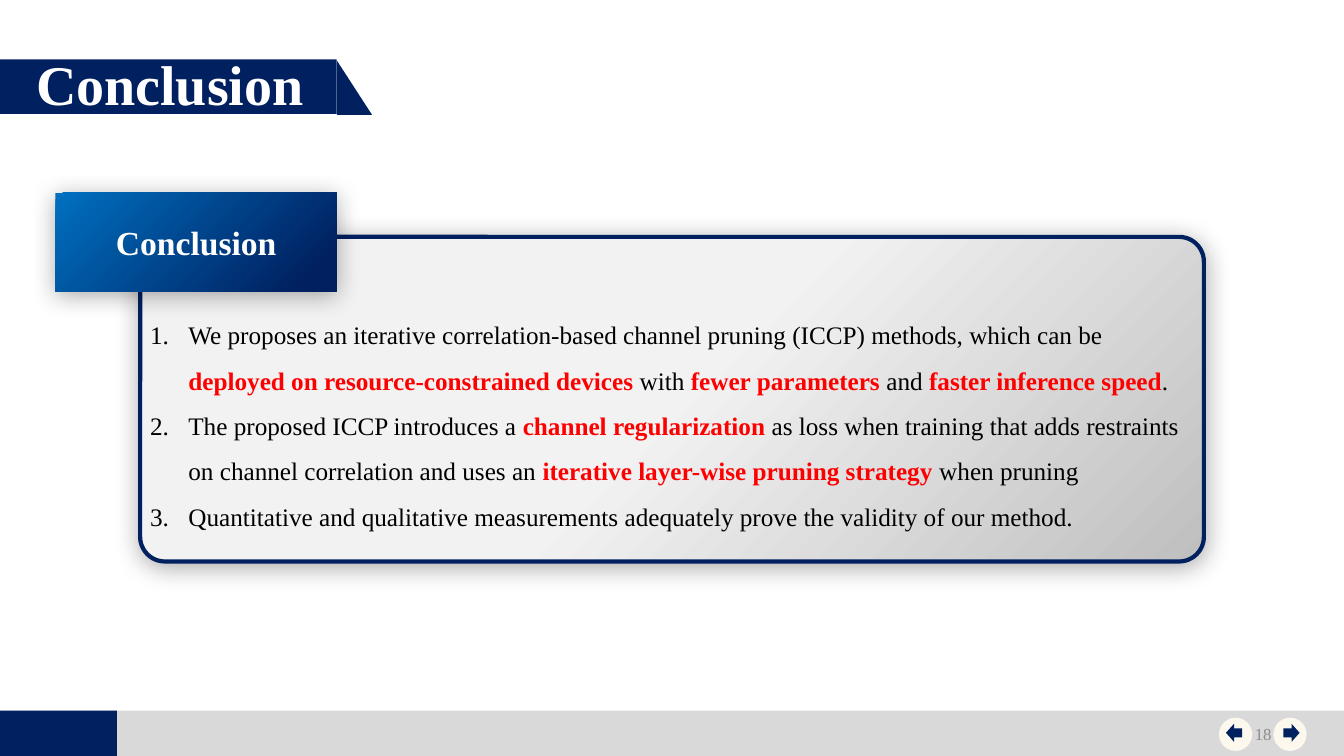
from dataclasses import dataclass

from lxml import etree
from pptx import Presentation
from pptx import util as u
from pptx.dml.color import RGBColor
from pptx.enum import shapes, text
from pptx.oxml.ns import qn

PRESET = shapes.MSO_SHAPE
ALIGN = text.PP_ALIGN
ANCHOR = text.MSO_ANCHOR


@dataclass(frozen=True)
class Theme:
    """Colours, type sizes and font of the slide."""
    font: str = "Times New Roman"
    navy: str = "002060"
    blue: str = "0070C0"
    white: str = "FFFFFF"
    black: str = "000000"
    red: str = "FF0000"
    cream: str = "FCF8ED"
    band: str = "D9D9D9"
    number: str = "8C8C8C"
    panel_light: str = "F2F2F2"
    panel_dark: str = "BFBFBF"
    title_size: int = 40
    heading_size: int = 24
    body_size: int = 18
    number_size: int = 12


def rgb(color):
    """Return the colour object for a hex value."""
    return RGBColor.from_string(color)


def write(frame, content, *, font, size, color, accent=None, bold=False,
          align=ALIGN.LEFT, anchor=ANCHOR.TOP, spacing=None, indent=None):
    """Write lines into a frame; parts between asterisks are bold in the accent colour."""
    frame.word_wrap = True
    frame.vertical_anchor = anchor
    for index, line in enumerate(content.split("\n")):
        paragraph = frame.add_paragraph() if index else frame.paragraphs[0]
        paragraph.alignment = align
        if spacing:
            paragraph.line_spacing = spacing
        if indent:
            props = paragraph._p.get_or_add_pPr()
            props.set("marL", str(u.Inches(indent)))
            props.set("indent", str(-u.Inches(indent)))
            etree.SubElement(props, qn("a:buFont"), typeface="+mj-lt")
            etree.SubElement(props, qn("a:buAutoNum"), type="arabicPeriod")
        for part, words in enumerate(line.split("*")):
            stressed = part % 2 == 1
            run = paragraph.add_run()
            run.text = words
            run.font.name = font
            run.font.size = u.Pt(size)
            run.font.bold = bold or stressed
            run.font.color.rgb = rgb(accent if stressed else color)


class Deck:
    """Draws elements on the current slide in one style."""

    def __init__(self, theme):
        """Open a blank widescreen slide."""
        self.theme = theme
        self.file = Presentation()
        self.file.slide_width = u.Inches(13.33)
        self.file.slide_height = u.Inches(7.5)
        self.slide = self.file.slides.add_slide(self.file.slide_layouts[6])

    def shape(self, preset, box, fill=None):
        """Add a borderless shape, flat when a fill is given."""
        item = self.slide.shapes.add_shape(preset, *map(u.Inches, box))
        item.shadow.inherit = False
        item.line.fill.background()
        if fill:
            item.fill.solid()
            item.fill.fore_color.rgb = rgb(fill)
        return item

    def raised(self, preset, box, stops):
        """Add a shape with a diagonal gradient and a soft shadow."""
        item = self.shape(preset, box)
        item.fill.gradient()
        item.fill.gradient_angle = 315
        for stop, (position, color) in zip(item.fill.gradient_stops, stops):
            stop.position = position
            stop.color.rgb = rgb(color)
        effects = item._element.spPr.find(qn("a:effectLst"))
        shadow = etree.SubElement(
            effects, qn("a:outerShdw"), blurRad=str(u.Pt(17.8)),
            dist=str(u.Pt(3)), dir=str(87 * 60000), rotWithShape="0")
        color = etree.SubElement(shadow, qn("a:srgbClr"), val=self.theme.black)
        etree.SubElement(color, qn("a:alpha"), val="33000")
        return item

    def label(self, box, content, **style):
        """Add a text box."""
        item = self.slide.shapes.add_textbox(*map(u.Inches, box))
        write(item.text_frame, content, font=self.theme.font, **style)

    def nav_button(self, left, arrow, arrow_left):
        """Add a round footer button with an arrow."""
        self.shape(PRESET.OVAL, (left, 7.12, 0.33, 0.33), self.theme.cream)
        self.shape(arrow, (arrow_left, 7.18, 0.16, 0.18), self.theme.navy)

    def footer(self, number):
        """Add the bottom band, buttons and slide number."""
        theme = self.theme
        for width, color in ((13.33, theme.band), (1.16, theme.navy)):
            self.shape(PRESET.RECTANGLE, (0, 7.05, width, 0.46), color)
        self.nav_button(12.63, PRESET.RIGHT_ARROW, 12.73)
        self.nav_button(12.09, PRESET.LEFT_ARROW, 12.16)
        self.label((9.71, 7.08, 3, 0.4), number, size=theme.number_size,
                   color=theme.number, align=ALIGN.RIGHT, anchor=ANCHOR.MIDDLE)

    def title(self, content):
        """Add the title on its slanted ribbon."""
        theme = self.theme
        self.shape(PRESET.RECTANGLE, (0, 0.59, 3.34, 0.54), theme.navy)
        self.shape(PRESET.RIGHT_TRIANGLE, (3.34, 0.6, 0.35, 0.54), theme.navy)
        self.label((0.26, 0.44, 3.69, 0.77), content, size=theme.title_size,
                   color=theme.white, bold=True)

    def panel(self, heading, findings):
        """Add the rounded panel, its numbered findings and its heading."""
        theme = self.theme
        panel = self.raised(PRESET.ROUNDED_RECTANGLE, (1.39, 2.35, 10.55, 3.22),
                            ((0.5, theme.panel_light), (1, theme.panel_dark)))
        panel.adjustments[0] = 0.076
        panel.line.color.rgb = rgb(theme.navy)
        panel.line.width = u.Pt(3)
        self.label((1.39, 2.97, 10.55, 2.32), findings, size=theme.body_size,
                   color=theme.black, accent=theme.red, spacing=1.5, indent=0.38)
        plate = self.raised(PRESET.RECTANGLE, (0.55, 1.91, 2.79, 0.98),
                            ((0, theme.blue), (0.9, theme.navy)))
        write(plate.text_frame, heading, font=theme.font, size=theme.heading_size,
              color=theme.white, bold=True, align=ALIGN.CENTER, anchor=ANCHOR.MIDDLE)


FINDINGS = "\n".join((
    "We proposes an iterative correlation-based channel pruning (ICCP) methods, "
    "which can be *deployed on resource-constrained devices* with "
    "*fewer parameters *and *faster inference speed*.",
    "The proposed ICCP introduces a *channel regularization *as loss when training "
    "that adds restraints on channel correlation and uses an "
    "*iterative layer-wise pruning strategy *when pruning",
    "Quantitative and qualitative measurements adequately prove the validity of our method.",
))


def main():
    """Build and save the slide."""
    deck = Deck(Theme())
    deck.footer("18")
    deck.title("Conclusion")
    deck.panel("Conclusion", FINDINGS)
    deck.file.save("out.pptx")


if __name__ == "__main__":
    main()
